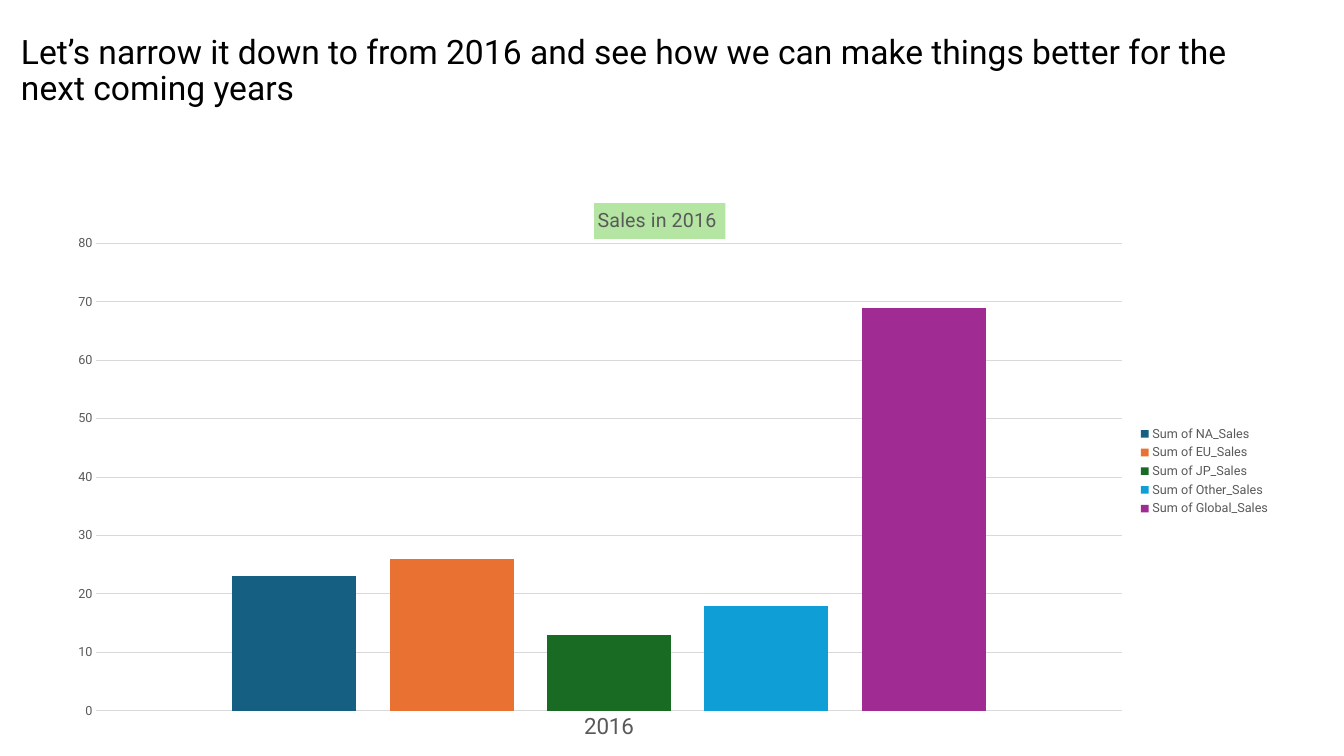
import dataclasses

import lxml.etree
import pptx
import pptx.chart.data
import pptx.dml.color
import pptx.enum.chart
import pptx.enum.text
import pptx.oxml.ns
import pptx.util

FONT = "Roboto"
GREY = "595959"
RULE = "D9D9D9"


@dataclasses.dataclass(frozen=True)
class Region:
    name: str
    sales: float
    color: str


REGIONS = [
    Region("Sum of NA_Sales", 23, "156082"),
    Region("Sum of EU_Sales", 26, "E97132"),
    Region("Sum of JP_Sales", 13, "196B24"),
    Region("Sum of Other_Sales", 18, "0F9ED5"),
    Region("Sum of Global_Sales", 69, "A02B93"),
]


def rgb(color: str) -> pptx.dml.color.RGBColor:
    return pptx.dml.color.RGBColor.from_string(color)


def style_font(font, size: float, color: str) -> None:
    font.name = FONT
    font.size = pptx.util.Pt(size)
    font.bold = False
    font.color.rgb = rgb(color)


def style_line(line) -> None:
    line.color.rgb = rgb(RULE)
    line.width = pptx.util.Pt(0.75)


def place_by_fraction(parent, **settings) -> None:
    qn = pptx.oxml.ns.qn
    layout = parent.find(qn("c:layout"))
    if layout is None:
        layout = parent.makeelement(qn("c:layout"))
        text = parent.find(qn("c:tx"))
        parent.insert(0 if text is None else 1, layout)
    manual = lxml.etree.SubElement(layout, qn("c:manualLayout"))
    for tag, value in settings.items():
        lxml.etree.SubElement(manual, qn(f"c:{tag}")).set("val", str(value))


def add_heading(page) -> None:
    box = page.shapes.add_textbox(
        pptx.util.Inches(0.11), 0, pptx.util.Inches(12.31), pptx.util.Inches(1.42)
    )
    frame = box.text_frame
    frame.word_wrap = True
    frame.vertical_anchor = pptx.enum.text.MSO_ANCHOR.MIDDLE
    para = frame.paragraphs[0]
    para.text = (
        "Let’s narrow it down to from 2016 and see how we can make things "
        "better for the next coming years"
    )
    para.line_spacing = 0.9
    style_font(para.font, 24, "000000")


def add_chart_title(chart) -> None:
    title = chart.chart_title
    para = title.text_frame.paragraphs[0]
    para.text = "Sales in 2016 "
    style_font(para.font, 14, GREY)
    title.format.fill.solid()
    title.format.fill.fore_color.rgb = rgb("B4E5A2")
    element = chart.element.chart.find(pptx.oxml.ns.qn("c:title"))
    place_by_fraction(element, xMode="edge", yMode="edge", x=0.447, y=0.029)
    element.find(pptx.oxml.ns.qn("c:overlay")).set("val", "1")


def style_axes(chart) -> None:
    for axis, size in ((chart.category_axis, 16), (chart.value_axis, 9)):
        axis.major_tick_mark = pptx.enum.chart.XL_TICK_MARK.NONE
        axis.minor_tick_mark = pptx.enum.chart.XL_TICK_MARK.NONE
        style_font(axis.tick_labels.font, size, GREY)
    style_line(chart.category_axis.format.line)
    values = chart.value_axis
    values.minimum_scale = 0
    values.maximum_scale = 80
    values.major_unit = 10
    values.format.line.fill.background()
    style_line(values.major_gridlines.format.line)


def add_sales_chart(page) -> None:
    data = pptx.chart.data.CategoryChartData()
    data.categories = ["2016"]
    for region in REGIONS:
        data.add_series(region.name, [region.sales])
    chart = page.shapes.add_chart(
        pptx.enum.chart.XL_CHART_TYPE.COLUMN_CLUSTERED,
        pptx.util.Inches(0.39),
        pptx.util.Inches(1.85),
        pptx.util.Inches(12.31),
        pptx.util.Inches(5.65),
        data,
    ).chart
    style_font(chart.font, 10, "000000")
    add_chart_title(chart)
    style_axes(chart)

    chart.has_legend = True
    chart.legend.position = pptx.enum.chart.XL_LEGEND_POSITION.RIGHT
    chart.legend.include_in_layout = False
    style_font(chart.legend.font, 9, GREY)

    plot = chart.plots[0]
    plot.gap_width = 219
    plot.overlap = -27
    plot.vary_by_categories = False
    for series, region in zip(plot.series, REGIONS):
        series.format.fill.solid()
        series.format.fill.fore_color.rgb = rgb(region.color)
    place_by_fraction(
        chart.element.chart.plotArea,
        layoutTarget="inner",
        xMode="edge",
        yMode="edge",
        x=0.046,
        y=0.1,
        w=0.826,
        h=0.821,
    )


def main() -> None:
    deck = pptx.Presentation()
    deck.slide_width = pptx.util.Inches(13.33)
    deck.slide_height = pptx.util.Inches(7.5)
    page = deck.slides.add_slide(deck.slide_layouts[6])
    add_heading(page)
    add_sales_chart(page)
    deck.save("out.pptx")


if __name__ == "__main__":
    main()
